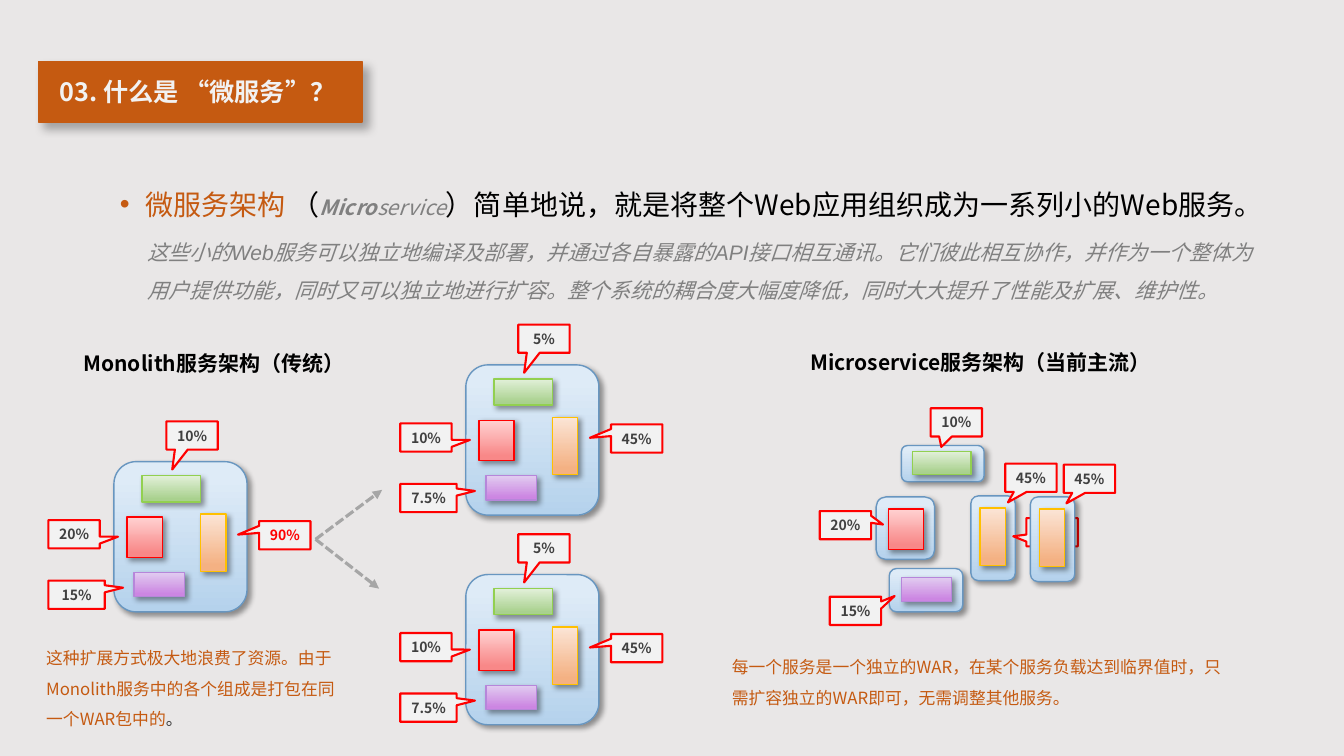
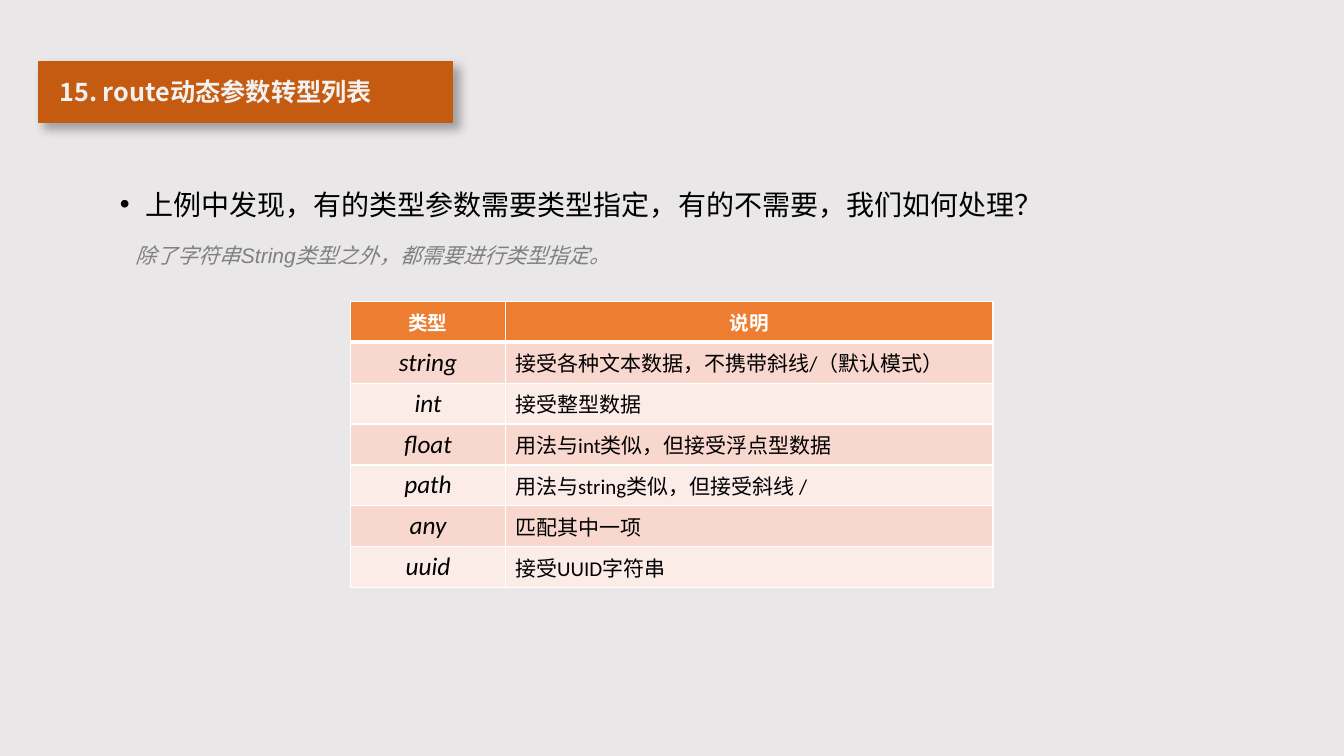
from lxml import etree
from pptx import Presentation
from pptx import util as u
from pptx.dml.color import RGBColor
from pptx.enum import dml, shapes, text
from pptx.oxml.ns import qn

PX = 9144  # EMU, a hundredth of an inch

BACKGROUND = RGBColor(0xE9, 0xE7, 0xE7)
RUST = RGBColor(0xC5, 0x5A, 0x11)
ORANGE = RGBColor(0xED, 0x7D, 0x31)
BLACK = RGBColor(0, 0, 0)
WHITE = RGBColor(0xFF, 0xFF, 0xFF)
OFF_WHITE = RGBColor(0xF2, 0xF2, 0xF2)
CHARCOAL = RGBColor(0x39, 0x39, 0x39)
DARK_GREY = RGBColor(0x40, 0x40, 0x40)
GREY = RGBColor(0x80, 0x80, 0x80)
ARROW_GREY = RGBColor(0xA6, 0xA6, 0xA6)
RED = RGBColor(0xFF, 0, 0)
ROW_FILLS = (RGBColor(0xF8, 0xD7, 0xCE), RGBColor(0xFC, 0xEC, 0xE8))

# Gradient start, gradient end, outline
PANEL = (RGBColor(0xDE, 0xEB, 0xF7), RGBColor(0xB5, 0xD2, 0xEC), RGBColor(0x68, 0x96, 0xC0))
GREEN_PART = (RGBColor(0xE2, 0xF0, 0xD9), RGBColor(0xA9, 0xD1, 0x8E), RGBColor(0x92, 0xD0, 0x50))
ORANGE_PART = (RGBColor(0xFB, 0xE5, 0xD6), RGBColor(0xF4, 0xB1, 0x83), RGBColor(0xFF, 0xC0, 0))
PURPLE_PART = (RGBColor(0xE1, 0xCC, 0xF0), RGBColor(0xCC, 0x86, 0xE2), RGBColor(0xB6, 0x86, 0xDA))
RED_PART = (RGBColor(0xFF, 0xD1, 0xD1), RGBColor(0xF8, 0x88, 0x88), RED)

CJK = "Noto Sans CJK SC"
LEFT, CENTER = text.PP_ALIGN.LEFT, text.PP_ALIGN.CENTER
SHAPE = shapes.MSO_SHAPE

# Parts and callouts of a monolith, measured from its panel's corner
MONOLITH_PARTS = (
    (28, 14, 58, 26, GREEN_PART),
    (86, 52, 25, 57, ORANGE_PART),
    (20, 110, 50, 24, PURPLE_PART),
    (13, 55, 35, 40, RED_PART),
)
MONOLITH_CALLOUTS = (
    (52, -40, 51, (-0.385, 1.208)),
    (-65, 58, 51, (0.855, 0.089)),
    (-65, 118, 56, (0.824, -0.247)),
    (144, 59, 51, (-0.911, -0.023)),
)

TYPE_ROWS = (
    ("string", "接受各种文本数据，不携带斜线/（默认模式）"),
    ("int", "接受整型数据"),
    ("float", "用法与int类似，但接受浮点型数据"),
    ("path", "用法与string类似，但接受斜线 /"),
    ("any", "匹配其中一项"),
    ("uuid", "接受UUID字符串"),
)


def px(*lengths):
    return [u.Emu(length * PX) for length in lengths]


def add_xml(parent, tag, **attributes):
    values = {name: str(value) for name, value in attributes.items()}
    return etree.SubElement(parent, qn(tag), values)


def write(frame, *spans, size, color, font=CJK, bold=False, italic=False,
          align=LEFT, spacing=None):
    """Fill the first paragraph; a span is a string or (string, overrides)."""
    para = frame.paragraphs[0]
    para.alignment = align
    if spacing:
        para.line_spacing = spacing
    base = dict(size=size, color=color, bold=bold, italic=italic)
    for item in spans:
        words, changes = (item, {}) if isinstance(item, str) else item
        style = {**base, **changes}
        span = para.add_run()
        span.text = words
        span.font.name = font
        span.font.size = u.Pt(style["size"])
        span.font.bold = style["bold"]
        span.font.italic = style["italic"]
        span.font.color.rgb = style["color"]
        add_xml(span.font._element, "a:ea", typeface=CJK)
    return para


def add_text(page, at, *spans, wrap=True, **style):
    frame = page.shapes.add_textbox(*px(*at)).text_frame
    frame.word_wrap = wrap
    frame.auto_size = text.MSO_AUTO_SIZE.SHAPE_TO_FIT_TEXT
    return write(frame, *spans, **style)


def add_bullet(page, *spans):
    para = add_text(page, (109, 164, 1185, 82), *spans,
                    size=20, color=BLACK, spacing=1.5)
    para.space_before = u.Pt(10)
    properties = para._p.get_or_add_pPr()
    indent = 25 * PX
    properties.set("marL", str(indent))
    properties.set("indent", str(-indent))
    add_xml(properties, "a:buFont", typeface="Arial")
    add_xml(properties, "a:buChar", char="•")


def add_remark(page, at, words):
    add_text(page, at, words, size=15, color=GREY, font="Arial", italic=True, spacing=1.5)


def add_box(page, kind, at, line, width=1):
    box = page.shapes.add_shape(kind, *px(*at))
    box.shadow.inherit = False
    box.line.color.rgb = line
    box.line.width = u.Pt(width)
    return box


def fill_solid(target, color):
    target.fill.solid()
    target.fill.fore_color.rgb = color


def cast_shadow(box, alpha, blur, distance):
    effects = box._element.spPr.find(qn("a:effectLst"))
    shadow = add_xml(effects, "a:outerShdw", blurRad=u.Pt(blur), dist=u.Pt(distance),
                     dir=45 * 60000, algn="tl", rotWithShape=0)
    color = add_xml(shadow, "a:srgbClr", val=BLACK)
    add_xml(color, "a:alpha", val=alpha * 1000)


def add_block(page, at, palette):
    """Draw a service panel or one of the parts inside it."""
    start, end, line = palette
    is_panel = palette is PANEL
    box = add_box(page, SHAPE.ROUNDED_RECTANGLE if is_panel else SHAPE.RECTANGLE, at, line)
    box.fill.gradient()
    box.fill.gradient_angle = 270
    positions = (0.11, 1) if is_panel else (0, 0.89)
    for stop, color, position in zip(box.fill.gradient_stops, (start, end), positions):
        stop.color.rgb = color
        stop.position = position
    cast_shadow(box, 40, 4, 3)


def add_callout(page, left, top, width, pointer, label):
    box = add_box(page, SHAPE.RECTANGULAR_CALLOUT, (left, top, width, 28), RED, 1.5)
    box.adjustments[0], box.adjustments[1] = pointer
    fill_solid(box, OFF_WHITE)
    box.text_frame.word_wrap = False
    box.text_frame.vertical_anchor = text.MSO_ANCHOR.MIDDLE
    write(box.text_frame, label, size=10, bold=True, align=CENTER,
          color=RED if label == "90%" else DARK_GREY)


def add_monolith(page, left, top, labels):
    add_block(page, (left, top, 132, 149), PANEL)
    for x, y, width, height, palette in MONOLITH_PARTS:
        add_block(page, (left + x, top + y, width, height), palette)
    for (x, y, width, pointer), label in zip(MONOLITH_CALLOUTS, labels):
        add_callout(page, left + x, top + y, width, pointer, label)


def add_service(page, panel, part, palette):
    add_block(page, panel, PANEL)
    add_block(page, part, palette)


def add_arrow(page, *ends):
    arrow = page.shapes.add_connector(shapes.MSO_CONNECTOR.STRAIGHT, *px(*ends))
    arrow.line.color.rgb = ARROW_GREY
    arrow.line.width = u.Pt(2.25)
    arrow.line.dash_style = dml.MSO_LINE.SQUARE_DOT
    add_xml(arrow.line._get_or_add_ln(), "a:tailEnd", type="triangle")
    add_xml(arrow._element.spPr, "a:effectLst")


def add_page(deck, title, band_width, title_width):
    page = deck.slides.add_slide(deck.slide_layouts[6])
    fill_solid(page.background, BACKGROUND)
    band = add_box(page, SHAPE.RECTANGLE, (38, 61, band_width, 60), RUST)
    fill_solid(band, RUST)
    cast_shadow(band, 31, 7, 6)
    add_text(page, (49, 71, title_width, 40), title, wrap=False,
             size=18, color=OFF_WHITE, bold=True)
    return page


def fill_cell(cell, words, fill, bottom=1, anchor=text.MSO_ANCHOR.MIDDLE, **style):
    properties = cell._tc.get_or_add_tcPr()
    for side, width in (("L", 1), ("R", 1), ("T", 1), ("B", bottom)):
        border = add_xml(properties, f"a:ln{side}", w=u.Pt(width))
        add_xml(add_xml(border, "a:solidFill"), "a:srgbClr", val=WHITE)
    fill_solid(cell, fill)
    cell.vertical_anchor = anchor
    write(cell.text_frame, words, font="Calibri", **style)


def add_type_table(page):
    row_count = len(TYPE_ROWS) + 1
    table = page.shapes.add_table(row_count, 2, *px(348, 299, 637, 284)).table
    for column, width in zip(table.columns, px(153, 484)):
        column.width = width
    for column, heading in enumerate(("类型", "说明")):
        fill_cell(table.cell(0, column), heading, ORANGE, bottom=3,
                  size=14, color=WHITE, bold=True, align=CENTER)
    for index, (name, meaning) in enumerate(TYPE_ROWS):
        fill = ROW_FILLS[index % 2]
        fill_cell(table.cell(index + 1, 0), name, fill, anchor=text.MSO_ANCHOR.TOP,
                  size=18, color=BLACK, italic=True, align=CENTER)
        fill_cell(table.cell(index + 1, 1), meaning, fill, size=15, color=BLACK)


def add_microservices(page):
    add_service(page, (894, 442, 82, 36), (905, 448, 58, 23), GREEN_PART)
    add_service(page, (869, 493, 58, 62), (881, 505, 35, 40), RED_PART)
    add_service(page, (882, 564, 73, 43), (894, 573, 50, 24), PURPLE_PART)
    add_service(page, (963, 492, 44, 84), (972, 504, 25, 57), ORANGE_PART)
    for left, top, pointer, label in (
        (923, 405, (-0.292, 0.872), "10%"),
        (813, 507, (0.731, -0.023), "20%"),
        (823, 592, (0.762, -0.527), "15%"),
        (1018, 514, (-0.756, 0.145), "90%"),
        (997, 460, (-0.447, 0.872), "45%"),
    ):
        add_callout(page, left, top, 51, pointer, label)
    # The added instance covers the 90% callout
    add_service(page, (1022, 493, 44, 84), (1031, 505, 25, 57), ORANGE_PART)
    add_callout(page, 1055, 461, 51, (-0.447, 0.872), "45%")


def build_microservice_page(deck):
    page = add_page(deck, "03. 什么是 “微服务”？", 321, 301)
    add_bullet(
        page,
        ("微服务架构 ", dict(color=RUST)),
        "（",
        ("Micro", dict(size=15, color=GREY, bold=True, italic=True)),
        ("service", dict(size=15, color=GREY, italic=True)),
        "）简单地说，就是将整个Web应用组织成为一系列小的Web服务。",
    )
    add_remark(page, (136, 220, 1132, 86),
               "这些小的Web服务可以独立地编译及部署，并通过各自暴露的API接口相互通讯。"
               "它们彼此相互协作，并作为一个整体为用户提供功能，同时又可以独立地进行扩容。"
               "整个系统的耦合度大幅度降低，同时大大提升了性能及扩展、维护性。")
    for at, heading in (((73, 343, 286, 35), "Monolith服务架构（传统）"),
                        ((794, 342, 366, 35), "Microservice服务架构（当前主流）")):
        add_text(page, at, heading, wrap=False, size=15, color=BLACK, bold=True)

    add_monolith(page, 113, 458, ("10%", "20%", "15%", "90%"))
    for top in (362, 570):
        add_monolith(page, 462, top, ("5%", "10%", "7.5%", "45%"))
    add_arrow(page, 313, 535, 379, 486)
    add_arrow(page, 313, 535, 376, 584)
    add_microservices(page)

    note = dict(size=12, color=RUST, spacing=1.5)
    add_text(page, (36, 628, 322, 101),
             "这种扩展方式极大地浪费了资源。由于Monolith服务中的各个组成是打包在同一个WAR包中的",
             ("。", dict(color=CHARCOAL)), **note)
    add_text(page, (716, 637, 511, 71),
             "每一个服务是一个独立的WAR，在某个服务负载达到临界值时，"
             "只需扩容独立的WAR即可，无需调整其他服务。", **note)


def build_route_page(deck):
    page = add_page(deck, "15. route动态参数转型列表", 411, 337)
    add_type_table(page)
    add_bullet(page, "上例中发现，有的类型参数需要类型指定，有的不需要，我们如何处理？")
    add_remark(page, (125, 223, 1132, 43), "除了字符串String类型之外，都需要进行类型指定。")


def main():
    deck = Presentation()
    deck.slide_width, deck.slide_height = px(1333, 750)
    build_microservice_page(deck)
    build_route_page(deck)
    deck.save("out.pptx")


if __name__ == "__main__":
    main()
